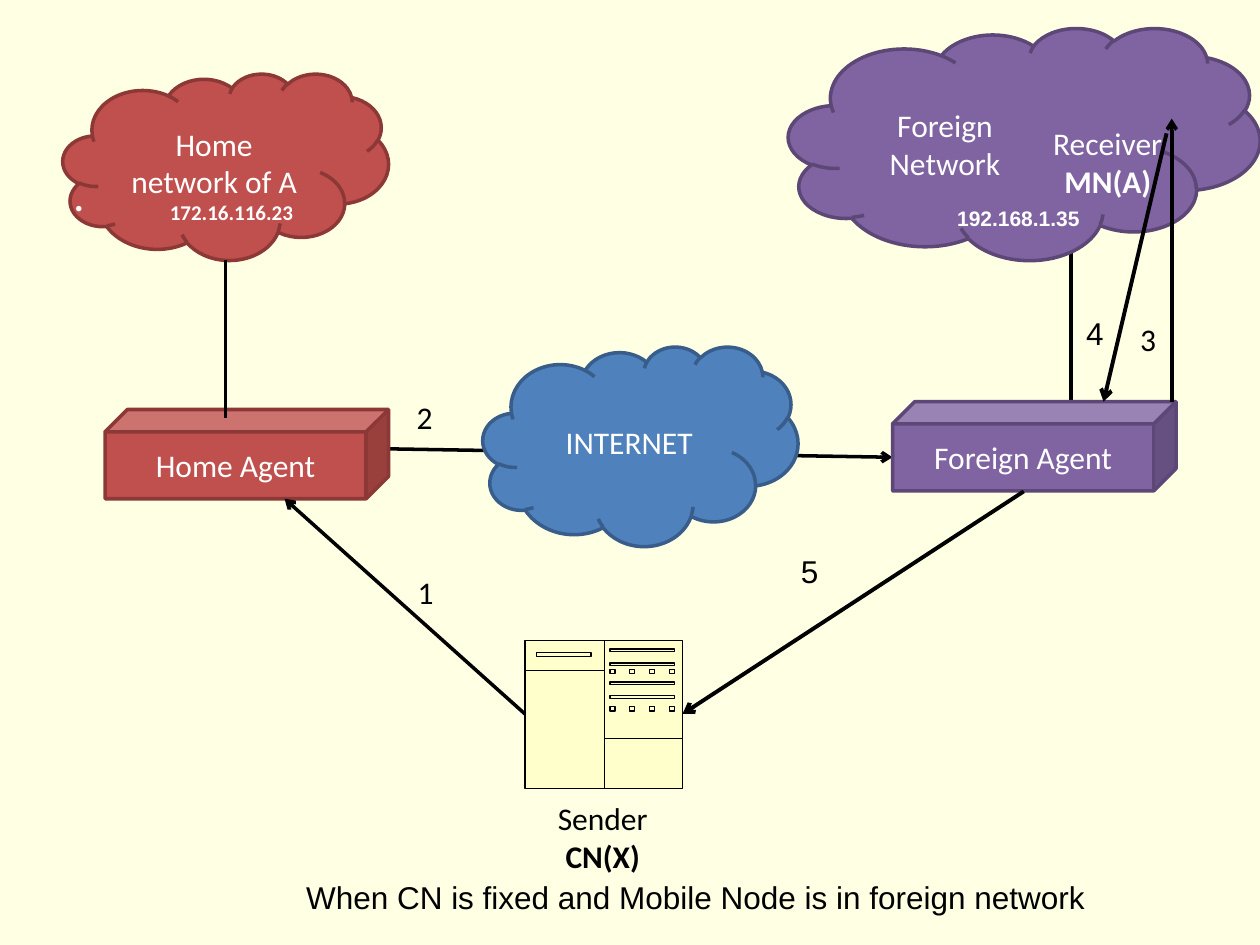
from lxml.etree import SubElement
from pptx import Presentation
from pptx.dml.color import RGBColor
from pptx.enum.shapes import MSO_CONNECTOR, MSO_SHAPE
from pptx.enum.text import MSO_ANCHOR, PP_ALIGN
from pptx.oxml.ns import qn
from pptx.util import Inches, Pt

BLACK, WHITE = "000000", "FFFFFF"
RED, DARK_RED = "C0504D", "8C3836"
PURPLE, DARK_PURPLE = "8064A2", "5C4776"
BLUE, DARK_BLUE = "4F81BD", "385D8A"
BACKGROUND, SERVER_FILL = "FFFFE4", "FFFFCC"


def color(hex_string):
    return RGBColor.from_string(hex_string)


def cell(count):
    """Length of a number of grid cells, twelve to the inch."""
    return Inches(count / 12)


def rectangle(left, top, width, height):
    right, bottom = left + width, top + height
    return [(left, top), (right, top), (right, bottom), (left, bottom), (left, top)]


class Diagram:
    """Draws on one slide; all lengths are cells of a 120 by 90 grid."""

    font = "Calibri"
    size = 18

    def __init__(self, presentation):
        self.slide = presentation.slides.add_slide(presentation.slide_layouts[6])
        self.shapes = self.slide.shapes
        fill = self.slide.background.fill
        fill.solid()
        fill.fore_color.rgb = color(BACKGROUND)

    def fill_frame(self, frame, lines, text_color, align=PP_ALIGN.CENTER,
                   font=font, size=size, bold_from=1):
        """Add one paragraph per line; lines from bold_from on are bold."""
        frame.word_wrap = True
        for index, line in enumerate(lines):
            paragraph = frame.paragraphs[0] if index == 0 else frame.add_paragraph()
            paragraph.alignment = align
            run = paragraph.add_run()
            run.text = line
            run.font.name = font
            run.font.size = Pt(size)
            run.font.bold = index >= bold_from
            run.font.color.rgb = color(text_color)

    def outline(self, shape, line_color, width):
        shape.shadow.inherit = False
        shape.line.color.rgb = color(line_color)
        shape.line.width = Pt(width)

    def node(self, kind, box, fill, line_color, label=None, line_width=2):
        shape = self.shapes.add_shape(kind, *map(cell, box))
        self.outline(shape, line_color, line_width)
        shape.fill.solid()
        shape.fill.fore_color.rgb = color(fill)
        if label:
            shape.text_frame.vertical_anchor = MSO_ANCHOR.MIDDLE
            self.fill_frame(shape.text_frame, [label], WHITE)

    def text(self, box, *lines, text_color=BLACK, **style):
        frame = self.shapes.add_textbox(*map(cell, box)).text_frame
        self.fill_frame(frame, lines, text_color, **style)
        return frame

    def step(self, left, top, number, font=font):
        self.text((left, top, 4, 4.8), number, align=PP_ALIGN.LEFT, font=font)

    def line(self, start, end, width=2, arrow=False):
        points = map(cell, (*start, *end))
        connector = self.shapes.add_connector(MSO_CONNECTOR.STRAIGHT, *points)
        connector.line.color.rgb = color(BLACK)
        connector.line.width = Pt(width)
        properties = connector._element.spPr
        if arrow:
            SubElement(properties.find(qn("a:ln")), qn("a:tailEnd"), type="arrow")
        SubElement(properties, qn("a:effectLst"))

    def strokes(self, polylines):
        """Draw several open or closed outlines as one unfilled shape."""
        scaled = [[(cell(x), cell(y)) for x, y in points] for points in polylines]
        builder = self.shapes.build_freeform(*scaled[0][0])
        for index, (first, *rest) in enumerate(scaled):
            if index:
                builder.move_to(*first)
            builder.add_line_segments(rest, close=False)
        shape = builder.convert_to_shape()
        self.outline(shape, BLACK, 0.75)
        shape.fill.background()

    def server(self, left, top, width, height):
        middle, right, bottom = left + 7.6, left + width, top + height
        panel = left + 8.1
        self.node(MSO_SHAPE.RECTANGLE, (left, top, width, height),
                  SERVER_FILL, BLACK, line_width=0.75)
        dividers = [
            [(left, top + 2.85), (middle, top + 2.85)],
            [(middle, top), (middle, bottom)],
            [(middle, top + 9.35), (right, top + 9.35)],
        ]
        slot = rectangle(left + 1.1, top + 1.15, 5.2, 0.36)
        bars = [rectangle(panel, top + offset, 6.15, 0.24)
                for offset in (0.8, 2.15, 3.95, 5.25)]
        buttons = [rectangle(panel + 1.88 * column, top + offset, 0.48, 0.42)
                   for offset in (2.75, 6.3) for column in range(4)]
        self.strokes([*dividers, slot, *bars, *buttons])

    def bullet(self, frame, bullet_color, indent):
        properties = frame.paragraphs[0]._p.get_or_add_pPr()
        properties.set("marL", str(cell(indent)))
        properties.set("indent", str(-cell(indent)))
        holder = SubElement(properties, qn("a:buClr"))
        SubElement(holder, qn("a:srgbClr"), val=bullet_color)
        SubElement(properties, qn("a:buChar"), char="•")


def main():
    presentation = Presentation()
    presentation.slide_width, presentation.slide_height = cell(120), cell(90)
    diagram = Diagram(presentation)

    diagram.line((37, 42.75), (85, 43.55), arrow=True)
    diagram.step(38.5, 37.3, "2")
    diagram.server(50, 61, 15, 14.1)
    diagram.text((46.9, 75.5, 21, 8.4), "Sender", "CN(X)")
    diagram.node(MSO_SHAPE.CLOUD, (46, 33, 30, 19), BLUE, DARK_BLUE, "INTERNET")

    diagram.node(MSO_SHAPE.CUBE, (10, 39, 27, 8.5), RED, DARK_RED, "Home Agent")
    diagram.node(MSO_SHAPE.CLOUD, (6, 7, 31, 17.75), RED, DARK_RED, "Home network of A")
    diagram.line((21.5, 24.75), (21.5, 39.8))

    diagram.line((102, 23), (102, 38.25))
    diagram.node(MSO_SHAPE.CUBE, (85, 38.25, 27, 8.5), PURPLE, DARK_PURPLE,
                 "Foreign Agent")
    diagram.node(MSO_SHAPE.CLOUD, (75.1, 2.65, 44.9, 22.1), PURPLE, DARK_PURPLE)
    diagram.text((98.5, 11.25, 14, 8.4), "Receiver", "MN(A)", text_color=WHITE)
    diagram.text((81.25, 9.5, 17.5, 8.4), "Foreign Network", text_color=WHITE)

    diagram.line((50, 68), (27.1, 47.5), arrow=True)
    diagram.step(38.6, 54, "1")
    diagram.line((111.6, 38.25), (111.6, 11.3), arrow=True)
    diagram.step(107.4, 29.9, "3")

    home_address = diagram.text((6, 18.4, 30, 3.6), "172.16.116.23", text_color=WHITE,
                                align=PP_ALIGN.LEFT, size=12, bold_from=0)
    diagram.bullet(home_address, WHITE, 9)
    diagram.text((14, 83, 104.5, 4.8),
                 "When CN is fixed and Mobile Node is in foreign network", font="Arial")
    diagram.line((111.1, 12.7), (105.1, 38.25), width=2.25, arrow=True)
    diagram.line((97.5, 46.8), (65, 68), width=2.25, arrow=True)
    diagram.step(102.25, 29.3, "4", font="Arial")
    diagram.step(75.1, 52, "5", font="Arial")
    diagram.text((85, 19, 24, 3.6), "192.168.1.35", text_color=WHITE,
                 font="Arial", size=12, bold_from=0)
    presentation.save("out.pptx")


if __name__ == "__main__":
    main()
